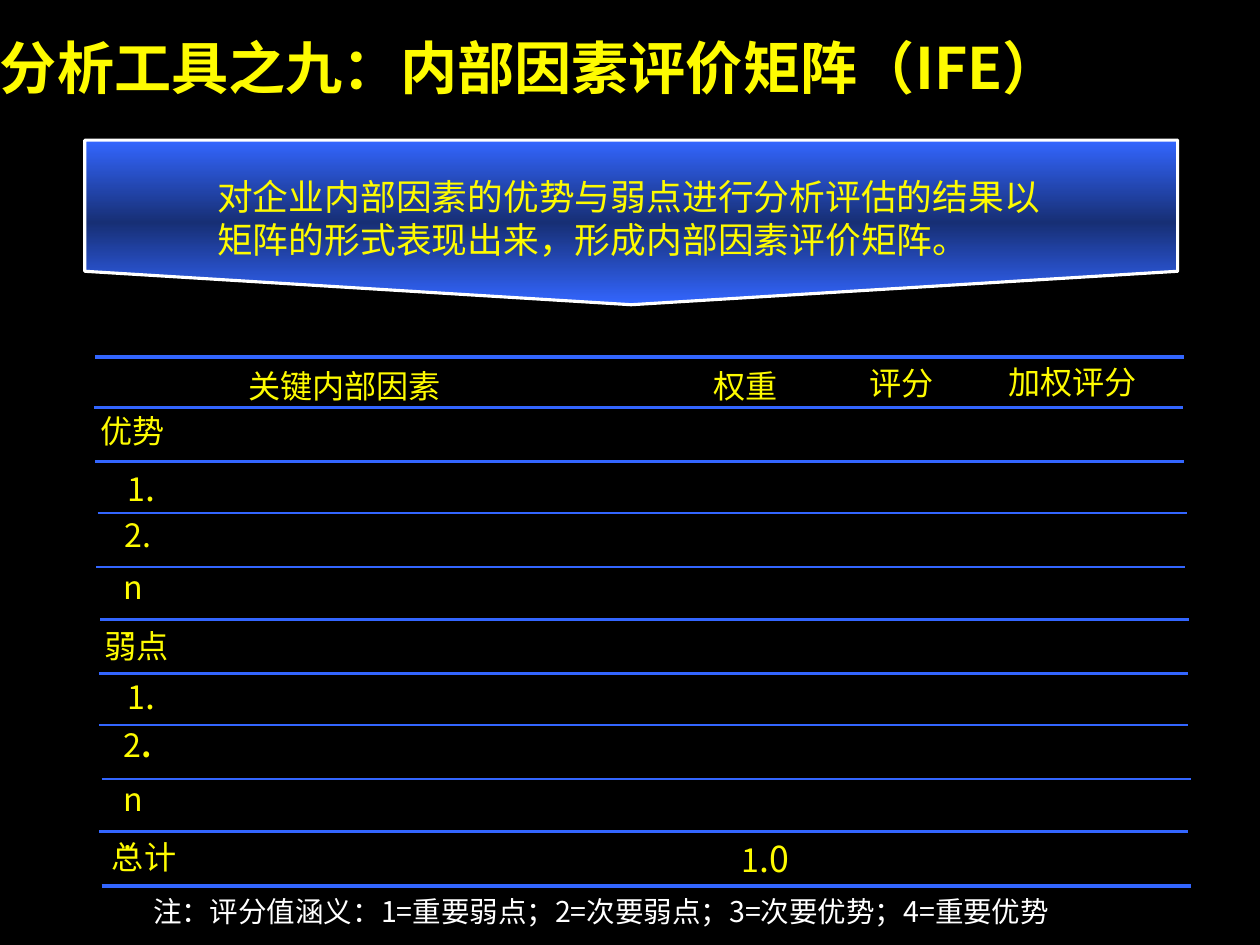
"""Build the internal factor evaluation (IFE) matrix slide."""
from copy import deepcopy

from lxml import etree
from pptx import Presentation
from pptx.dml.color import RGBColor
from pptx.enum.shapes import MSO_CONNECTOR
from pptx.oxml.ns import qn
from pptx.util import Inches, Pt

STRAIGHT = MSO_CONNECTOR.STRAIGHT
FONT = "Noto Sans CJK SC"
BLACK = RGBColor(0x00, 0x00, 0x00)
YELLOW = RGBColor(0xFE, 0xFB, 0x00)
WHITE = RGBColor(0xFF, 0xFF, 0xFF)
BLUE = RGBColor(0x33, 0x66, 0xFF)
NAVY = RGBColor(0x17, 0x2F, 0x75)

prs = Presentation()
prs.slide_width, prs.slide_height = Inches(9.8), Inches(7.35)
slide = prs.slides.add_slide(prs.slide_layouts[6])
slide.background.fill.solid()
slide.background.fill.fore_color.rgb = BLACK


def add_text(left, top, width, height, runs, color=YELLOW, wrap=False, shadow=False):
    """Add a text box of (text, size, bold) runs without margins."""
    tb = slide.shapes.add_textbox(Inches(left), Inches(top), Inches(width), Inches(height))
    tf = tb.text_frame
    tf.margin_left = tf.margin_top = tf.margin_right = tf.margin_bottom = 0
    tf.word_wrap = wrap
    p = tf.paragraphs[0]
    for text, size, bold in runs:
        r = p.add_run()
        r.text = text
        r.font.size, r.font.bold = Pt(size), bold
        r.font.color.rgb = color
        rpr = r.font._element
        if shadow:
            effects = etree.SubElement(rpr, qn("a:effectLst"))
            outer = etree.SubElement(effects, qn("a:outerShdw"), dist="25400", dir="2700000")
            etree.SubElement(outer, qn("a:srgbClr"), val=str(BLACK))
        r.font.name = FONT
        etree.SubElement(rpr, qn("a:ea"), typeface=FONT)


add_text(0, 0.25, 9.8, 0.53, [("分析工具之九：内部因素评价矩阵（IFE）", 32, True)], wrap=True)

fb = slide.shapes.build_freeform(Inches(0.66), Inches(1.09), scale=1.0)
outline = [(9.16, 1.09), (9.16, 2.11), (4.91, 2.37), (0.66, 2.11)]
fb.add_line_segments([(Inches(x), Inches(y)) for x, y in outline], close=True)
banner = fb.convert_to_shape()
banner.shadow.inherit = False
banner.line.color.rgb = WHITE
banner.line.width = Pt(1.75)
banner.fill.gradient()
banner.fill.gradient_angle = 90
for stop in banner.fill.gradient_stops:
    stop.color.rgb = BLUE
first_stop = banner._element.spPr.find(".//" + qn("a:gs"))
middle_stop = deepcopy(first_stop)
first_stop.addnext(middle_stop)
stops = banner.fill.gradient_stops
stops[1].color.rgb = NAVY
for stop, position in zip(stops, (0, 0.5, 1)):
    stop.position = position

add_text(1.69, 1.36, 6.56, 0.67,
         [("对企业内部因素的优势与弱点进行分析评估的结果以矩阵的形式表现出来，形成内部因素评价矩阵。", 20, False)],
         wrap=True, shadow=True)

RULES = [(0.74, 2.78), (0.73, 3.17), (0.74, 3.59), (0.76, 3.99), (0.75, 4.41), (0.78, 4.82),
         (0.77, 5.24), (0.77, 5.64), (0.79, 6.06), (0.77, 6.47), (0.79, 6.89)]
for left, y in RULES:
    rule = slide.shapes.add_connector(
        STRAIGHT, Inches(left), Inches(y), Inches(left + 8.47), Inches(y))
    rule.line.color.rgb = BLUE
    rule.line.width = Pt(2.25 if (left, y) in (RULES[0], RULES[-1]) else 1.5)
    etree.SubElement(rule._element.spPr, qn("a:effectLst"))

LABELS = [
    (1.93, 2.85, 1.5, "关键内部因素"), (5.55, 2.85, 0.5, "权重"),
    (6.76, 2.83, 0.5, "评分"), (7.84, 2.82, 1, "加权评分"),
    (0.78, 3.2, 0.5, "优势"), (0.81, 4.87, 0.5, "弱点"), (0.87, 6.51, 0.5, "总计"),
    (0.97, 4.01, 0.21, "2."), (0.96, 4.41, 0.22, "n."), (0.96, 6.06, 0.22, "n."),
]
for left, top, width, text in LABELS:
    add_text(left, top, width, 0.3, [(text, 18, False)])

MIXED_LABELS = [
    (0.99, 3.62, 0.22, "1", (".", 20, False)), (0.99, 5.24, 0.22, "1", (".", 20, False)),
    (0.96, 5.64, 0.22, "2", (".", 18, True)), (5.77, 6.51, 0.37, "1", (".0", 20, False)),
]
for left, top, width, digit, tail in MIXED_LABELS:
    add_text(left, top, width, 0.33, [(digit, 18, False), tail])

add_text(1.19, 6.95, 8.21, 0.27,
         [("注：评分值涵义：1=重要弱点；2=次要弱点；3=次要优势；4=重要优势", 16, False)],
         color=WHITE, wrap=True)

prs.save("out.pptx")
